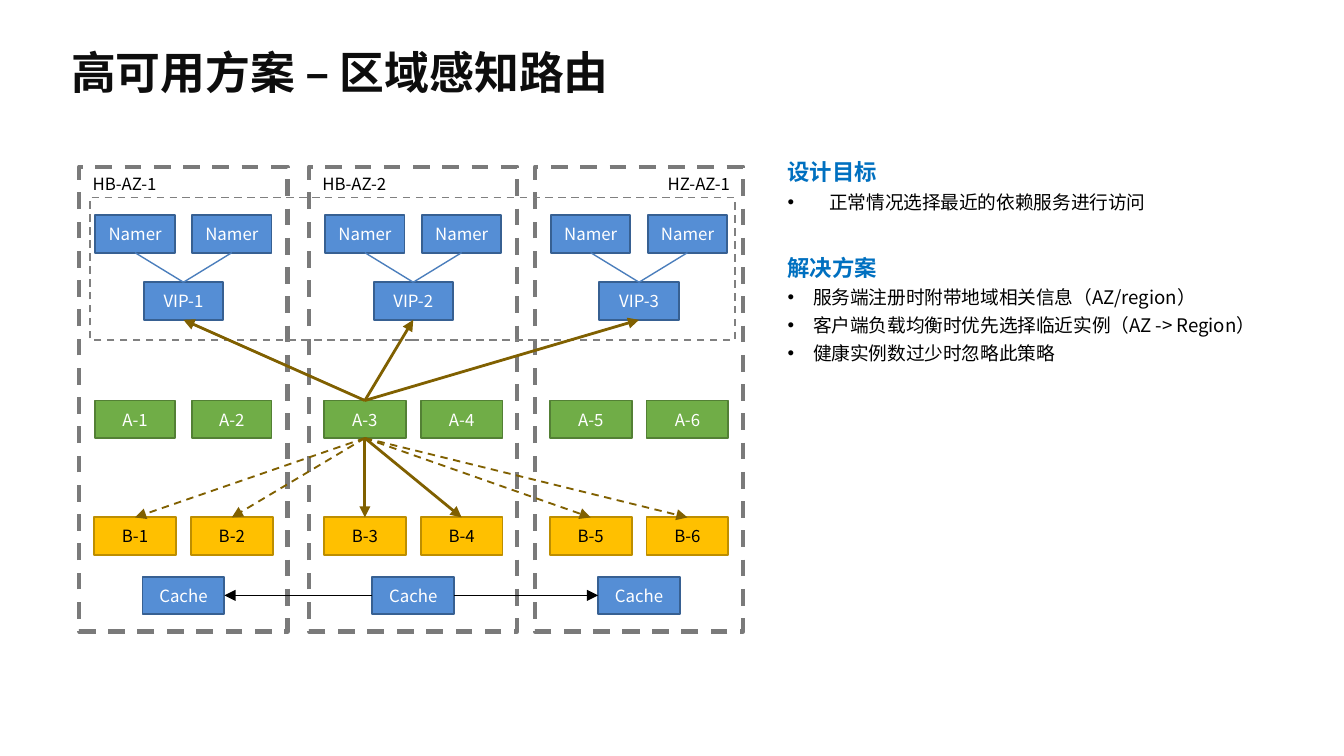
"""Build a slide on zone-aware routing for high availability."""
from dataclasses import dataclass

from lxml.etree import SubElement
from pptx import Presentation
from pptx.dml.color import RGBColor
from pptx.enum.dml import MSO_LINE
from pptx.enum.shapes import MSO_CONNECTOR, MSO_SHAPE
from pptx.enum.text import MSO_ANCHOR, PP_ALIGN
from pptx.oxml.ns import qn
from pptx.util import Inches, Pt


@dataclass(frozen=True)
class Theme:
    font: str = "Noto Sans CJK SC"
    title_size: float = 24
    heading_size: float = 12
    body_size: float = 10
    label_size: float = 9
    title: str = "0D0D0D"
    heading: str = "0070C0"
    black: str = "000000"
    zone: str = "7A7A7A"
    cluster: str = "808080"
    route: str = "806000"
    link: str = "4B7EBC"
    blue: tuple = ("558ED5", "376092", "FFFFFF")
    green: tuple = ("70AD47", "538035", "FFFFFF")
    amber: tuple = ("FFC000", "BD8E00", "000000")


THEME = Theme()
TOP, LEFT, BOTTOM, RIGHT = range(4)
ZONES = [
    ("HB-AZ-1", 0.59, PP_ALIGN.LEFT),
    ("HB-AZ-2", 2.3, PP_ALIGN.LEFT),
    ("HZ-AZ-1", 3.98, PP_ALIGN.RIGHT),
]
ZONE_WIDTH = 1.55
PAIR_OFFSET = 0.36
NOTES = [
    ("设计目标", 0.31, ["正常情况选择最近的依赖服务进行访问"]),
    ("解决方案", 0.19, [
        "服务端注册时附带地域相关信息（AZ/region）",
        "客户端负载均衡时优先选择临近实例（AZ -> Region）",
        "健康实例数过少时忽略此策略",
    ]),
]


def place(sp, left, top, width, height):
    sp.left, sp.top = Inches(left), Inches(top)
    sp.width, sp.height = Inches(width), Inches(height)


def style_text(p, size, color, bold=False, align=PP_ALIGN.LEFT):
    p.alignment = align
    font = p.font
    font.size, font.bold, font.name = Pt(size), bold, THEME.font
    font.color.rgb = RGBColor.from_string(color)
    props = p._p.pPr.find(qn("a:defRPr"))
    SubElement(props, qn("a:ea"), typeface=THEME.font)


def style_line(line, color, width, dashed=False):
    line.color.rgb = RGBColor.from_string(color)
    line.width = Pt(width)
    if dashed:
        line.dash_style = MSO_LINE.DASH


def add_rect(slide, left, top, width, height):
    sp = slide.shapes.add_shape(
        MSO_SHAPE.RECTANGLE, Inches(left), Inches(top), Inches(width), Inches(height))
    sp.shadow.inherit = False
    sp.fill.background()
    return sp


def add_zone(slide, name, left, align):
    sp = add_rect(slide, left, 1.24, ZONE_WIDTH, 3.46)
    style_line(sp.line, THEME.zone, 2.25, True)
    tf = sp.text_frame
    tf.vertical_anchor = MSO_ANCHOR.TOP
    tf.text = name
    style_text(tf.paragraphs[0], THEME.label_size, THEME.black, align=align)


def add_node(slide, label, center, top, colors, width=0.61):
    fill, border, color = colors
    sp = add_rect(slide, center - width / 2, top, width, 0.28)
    sp.fill.solid()
    sp.fill.fore_color.rgb = RGBColor.from_string(fill)
    style_line(sp.line, border, 1)
    tf = sp.text_frame
    tf.margin_left = tf.margin_right = tf.margin_top = tf.margin_bottom = 0
    tf.vertical_anchor = MSO_ANCHOR.MIDDLE
    tf.text = label
    style_text(tf.paragraphs[0], THEME.label_size, color, align=PP_ALIGN.CENTER)
    return sp


def connect(slide, start, start_side, end, end_side, color, width, dashed=False, arrow=True):
    line = slide.shapes.add_connector(MSO_CONNECTOR.STRAIGHT, 0, 0, 0, 0)
    line.begin_connect(start, start_side)
    line.end_connect(end, end_side)
    style_line(line.line, color, width, dashed)
    if arrow:
        SubElement(line.line._get_or_add_ln(), qn("a:tailEnd"), type="triangle")
    SubElement(line._element.spPr, qn("a:effectLst"))


def add_title(slide, text):
    sp = slide.shapes.title
    place(sp, 0.43, 0.3, 5.35, 0.47)
    tf = sp.text_frame
    tf.vertical_anchor = MSO_ANCHOR.MIDDLE
    tf.text = text
    style_text(tf.paragraphs[0], THEME.title_size, THEME.title, True)


def add_note_line(p, text, indent, before=0):
    p.text = text
    props = p._p.get_or_add_pPr()
    props.set("marL", str(Inches(indent)))
    props.set("indent", str(-Inches(indent)))
    if indent:
        SubElement(props, qn("a:buChar"), char="•")
        size, color = THEME.body_size, THEME.black
    else:
        SubElement(props, qn("a:buNone"))
        size, color = THEME.heading_size, THEME.heading
    p.line_spacing = Pt(size * 1.5)
    p.space_before = Pt(before)
    style_text(p, size, color, bold=not indent)


def add_notes(slide):
    sp = slide.placeholders[1]
    place(sp, 5.76, 1.08, 3.94, 1.89)
    tf = sp.text_frame
    tf.word_wrap = True
    tf.vertical_anchor = MSO_ANCHOR.TOP
    for i, (heading, indent, items) in enumerate(NOTES):
        p = tf.add_paragraph() if i else tf.paragraphs[0]
        add_note_line(p, heading, 0, 18 if i else 0)
        for item in items:
            add_note_line(tf.add_paragraph(), item, indent)


def add_topology(slide):
    for zone in ZONES:
        add_zone(slide, *zone)
    cluster = add_rect(slide, 0.67, 1.47, 4.8, 1.06)
    style_line(cluster.line, THEME.cluster, 1, True)

    vips, callers, providers, caches = [], [], [], []
    for i, (_, left, _) in enumerate(ZONES):
        center = left + ZONE_WIDTH / 2
        vip = add_node(slide, f"VIP-{i + 1}", center, 2.1, THEME.blue, 0.59)
        vips.append(vip)
        caches.append(add_node(slide, "Cache", center, 4.29, THEME.blue))
        for j, offset in enumerate((-PAIR_OFFSET, PAIR_OFFSET)):
            x, number = center + offset, 2 * i + j + 1
            registry = add_node(slide, "Namer", x, 1.6, THEME.blue, 0.59)
            connect(slide, registry, BOTTOM, vip, TOP, THEME.link, 0.75, arrow=False)
            caller_width = 0.61 if i else 0.59
            callers.append(add_node(slide, f"A-{number}", x, 2.98, THEME.green, caller_width))
            providers.append(add_node(slide, f"B-{number}", x, 3.85, THEME.amber))

    caller = callers[2]
    for vip in vips:
        connect(slide, caller, TOP, vip, BOTTOM, THEME.route, 1.5)
    for i, provider in enumerate(providers):
        local = i in (2, 3)
        connect(slide, caller, BOTTOM, provider, TOP, THEME.route,
                1.5 if local else 1, dashed=not local)
    connect(slide, caches[1], LEFT, caches[0], RIGHT, THEME.black, 0.75)
    connect(slide, caches[1], RIGHT, caches[2], LEFT, THEME.black, 0.75)


def main():
    prs = Presentation()
    prs.slide_width = Inches(10)
    prs.slide_height = prs.slide_width * 9 // 16
    slide = prs.slides.add_slide(prs.slide_layouts[1])
    add_title(slide, "高可用方案 – 区域感知路由")
    add_notes(slide)
    add_topology(slide)
    prs.save("out.pptx")


if __name__ == "__main__":
    main()
